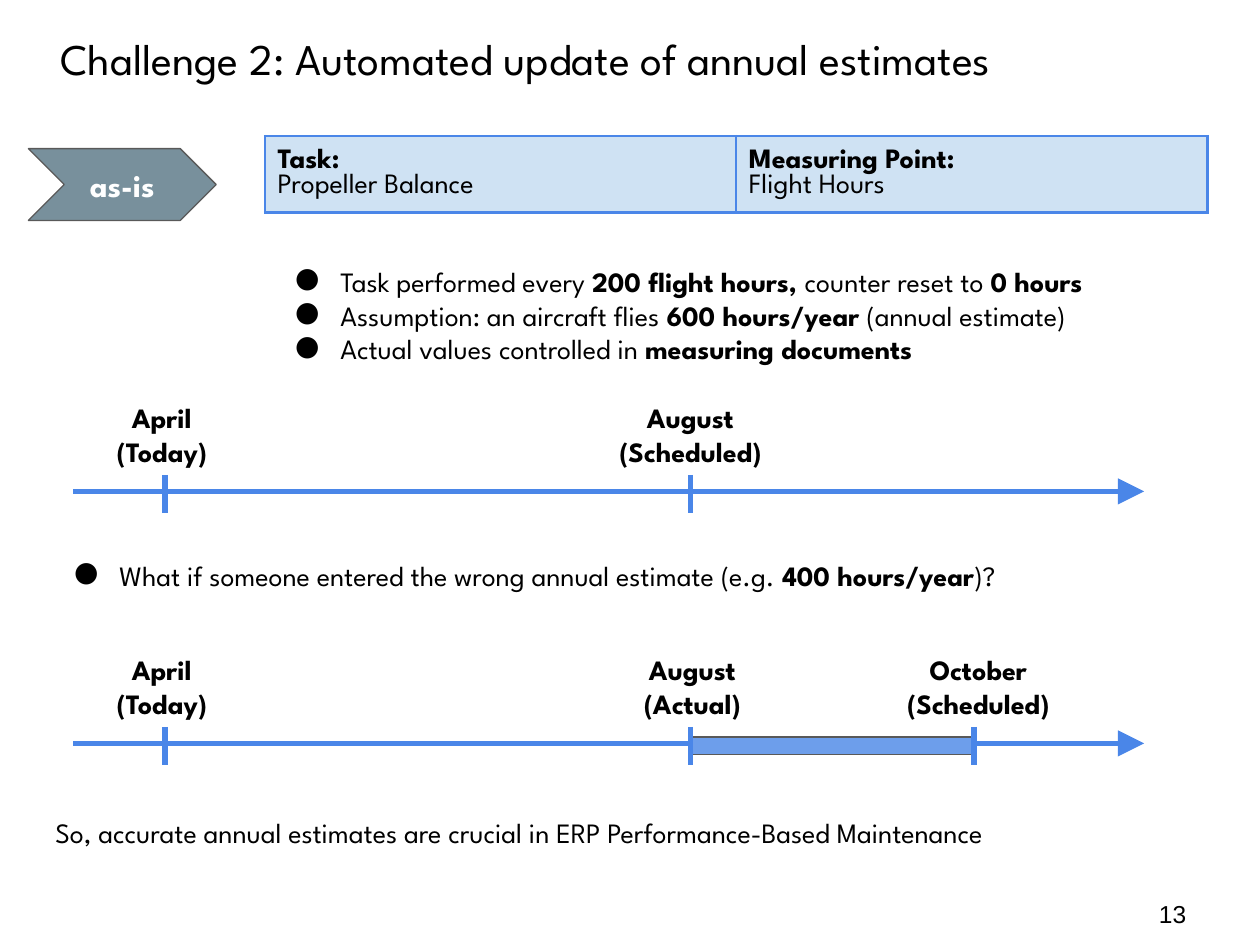
from dataclasses import dataclass

import pptx
import pptx.dml.color
import pptx.enum.shapes
import pptx.enum.text
import pptx.oxml
import pptx.oxml.ns
import pptx.util
from lxml import etree

FONT = "League Spartan"
BLUE, PALE_BLUE, BAR_BLUE = "4A86E8", "CFE2F3", "6D9EEB"
SLATE, GREY, BLACK, WHITE = "78909C", "595959", "000000", "FFFFFF"
TOP = pptx.enum.text.MSO_ANCHOR.TOP
MIDDLE = pptx.enum.text.MSO_ANCHOR.MIDDLE
LEFT = pptx.enum.text.PP_ALIGN.LEFT
CENTER = pptx.enum.text.PP_ALIGN.CENTER
MARGIN = pptx.util.Inches(0.1)
COLUMNS, ROWS = 100, 75  # grid laid over the slide

presentation = pptx.Presentation()
presentation.slide_width = pptx.util.Inches(10)
presentation.slide_height = pptx.util.Inches(7.5)


@dataclass
class Box:
    """A rectangle in grid columns and rows."""
    left: float
    top: float
    width: float
    height: float

    def lengths(self) -> tuple:
        return (across(self.left), down(self.top),
                across(self.width), down(self.height))


@dataclass
class Milestone:
    column: float
    label_center: float
    month: str
    state: str


@dataclass
class Timeline:
    row: float
    milestones: list
    delay: tuple = ()  # start and end column of the delay bar


def across(columns: float) -> int:
    return round(presentation.slide_width * columns / COLUMNS)


def down(rows: float) -> int:
    return round(presentation.slide_height * rows / ROWS)


def color(value: str):
    return pptx.dml.color.RGBColor.from_string(value)


def set_attributes(target, values: dict) -> None:
    for name, value in values.items():
        setattr(target, name, value)


def add_bullet(paragraph, size: float, font: str) -> None:
    properties = paragraph._p.get_or_add_pPr()
    properties.set("marL", str(pptx.util.Inches(0.5)))
    properties.set("indent", str(pptx.util.Inches(-0.36)))
    for tag, name, value in (("a:buSzPts", "val", str(size * 100)),
                             ("a:buFont", "typeface", font),
                             ("a:buChar", "char", "●")):
        etree.SubElement(properties, pptx.oxml.ns.qn(tag)).set(name, value)


def write(frame, lines: list, size=16, font=FONT, fill=BLACK, align=LEFT,
          anchor=TOP, spacing=None, bullets=False) -> None:
    """Fill a frame; each line is a list of (text, bold) pairs."""
    set_attributes(frame, {
        "word_wrap": True, "auto_size": pptx.enum.text.MSO_AUTO_SIZE.NONE,
        "vertical_anchor": anchor, "margin_left": MARGIN, "margin_right": MARGIN,
        "margin_top": MARGIN, "margin_bottom": MARGIN})
    for index, line in enumerate(lines):
        paragraph = frame.add_paragraph() if index else frame.paragraphs[0]
        set_attributes(paragraph, {"alignment": align, "line_spacing": spacing})
        if bullets:
            add_bullet(paragraph, size, font)
        for text, bold in line:
            run = paragraph.add_run()
            run.text = text
            set_attributes(run.font, {
                "name": font, "size": pptx.util.Pt(size), "bold": bold})
            run.font.color.rgb = color(fill)


def add_text(shapes, box: Box, lines: list, **style) -> None:
    write(shapes.add_textbox(*box.lengths()).text_frame, lines, **style)


def add_preset(shapes, preset, box: Box, fill: str):
    shape = shapes.add_shape(preset, *box.lengths())
    shape.shadow.inherit = False
    shape.fill.solid()
    shape.fill.fore_color.rgb = color(fill)
    shape.line.color.rgb = color(GREY)
    shape.line.width = pptx.util.Pt(0.75)
    return shape


def add_line(shapes, start: tuple, end: tuple, arrow=False) -> None:
    connector = shapes.add_connector(
        pptx.enum.shapes.MSO_CONNECTOR.STRAIGHT,
        across(start[0]), down(start[1]), across(end[0]), down(end[1]))
    connector.line.color.rgb = color(BLUE)
    connector.line.width = pptx.util.Pt(3)
    if arrow:
        head = etree.SubElement(connector.line._get_or_add_ln(),
                                pptx.oxml.ns.qn("a:tailEnd"))
        for name, value in {"type": "triangle", "w": "lg", "len": "lg"}.items():
            head.set(name, value)
    etree.SubElement(connector._element.spPr, pptx.oxml.ns.qn("a:effectLst"))


def add_borders(cell) -> None:
    properties = cell._tc.get_or_add_tcPr()
    for position, side in enumerate(("lnL", "lnR", "lnT", "lnB")):
        properties.insert(position, pptx.oxml.parse_xml(
            f'<a:{side} {pptx.oxml.ns.nsdecls("a")} w="{pptx.util.Pt(1.5)}">'
            f'<a:solidFill><a:srgbClr val="{BLUE}"/></a:solidFill></a:{side}>'))


def add_timeline(slide, timeline: Timeline) -> None:
    shapes = slide.shapes.add_group_shape().shapes
    row = timeline.row
    add_line(shapes, (5.8, row), (90.8, row), arrow=True)
    if timeline.delay:
        start, end = timeline.delay
        add_preset(shapes, pptx.enum.shapes.MSO_SHAPE.RECTANGLE,
                   Box(start, row - 0.5, end - start, 1.4), BAR_BLUE)
    for milestone in timeline.milestones:
        add_line(shapes, (milestone.column, row - 1.3), (milestone.column, row + 1.7))
        add_text(shapes, Box(milestone.label_center - 8, row - 8.2, 16, 4.3),
                 [[(milestone.month, True)], [(milestone.state, True)]], align=CENTER)


def main() -> None:
    slide = presentation.slides.add_slide(presentation.slide_layouts[5])

    # Title
    title = slide.shapes.title
    set_attributes(title, dict(zip(("left", "top", "width", "height"),
                                   Box(3.8, 1.5, 93.2, 8.3).lengths())))
    write(title.text_frame,
          [[("Challenge 2: Automated update of annual estimates", False)]], size=25)

    # Current-state marker
    marker = add_preset(slide.shapes, pptx.enum.shapes.MSO_SHAPE.CHEVRON,
                        Box(2.25, 11.8, 14.9, 5.7), SLATE)
    write(marker.text_frame, [[("as-is", True)]], size=18, fill=WHITE,
          align=CENTER, anchor=MIDDLE)

    # Task table
    table = slide.shapes.add_table(1, 2, *Box(21.04, 10.8, 74.8, 4.2).lengths()).table
    set_attributes(table, {"first_row": False, "horz_banding": False})
    entries = [("Task:", "Propeller Balance"), ("Measuring Point:", "Flight Hours")]
    for cell, (heading, value) in zip(table.iter_cells(), entries):
        set_attributes(cell, {"margin_left": MARGIN, "margin_right": MARGIN,
                              "margin_top": MARGIN, "margin_bottom": MARGIN})
        write(cell.text_frame, [[(heading, True)], [(value, False)]], spacing=1.0)
        cell.text_frame._txBody.bodyPr.attrib.clear()
        cell.fill.solid()
        cell.fill.fore_color.rgb = color(PALE_BLUE)
        add_borders(cell)

    # Statements
    add_text(slide.shapes, Box(21.04, 20, 76.9, 8.2), [
        [("Task performed every ", False), ("200 flight hours, ", True),
         ("counter reset to ", False), ("0 hours", True)],
        [("Assumption: an aircraft flies ", False), ("600 hours/year", True),
         (" (annual estimate)", False)],
        [("Actual values controlled in ", False), ("measuring documents", True)],
    ], bullets=True)
    add_text(slide.shapes, Box(3.5, 43.3, 87.7, 8.2), [
        [("What if someone entered the wrong annual estimate (e.g. ", False),
         ("400 hours/year", True), (")?", False)]], bullets=True)
    add_text(slide.shapes, Box(3.4, 63.7, 91.5, 4.5), [
        [("So, accurate annual estimates are crucial in ERP "
          "Performance-Based Maintenance", False)]])

    # Timelines
    today = Milestone(13.1, 12.85, "April", "(Today)")
    add_timeline(slide, Timeline(39, [
        today, Milestone(54.8, 54.8, "August", "(Scheduled)")]))
    add_timeline(slide, Timeline(59, [
        today, Milestone(54.8, 54.95, "August", "(Actual)"),
        Milestone(77.3, 77.65, "October", "(Scheduled)")], delay=(54.9, 77.3)))

    # Slide number
    add_text(slide.shapes, Box(91, 69.7, 6, 5.7), [[("13", False)]], size=14,
             font="Arial", anchor=MIDDLE, spacing=1.0)

    presentation.save("out.pptx")


if __name__ == "__main__":
    main()
